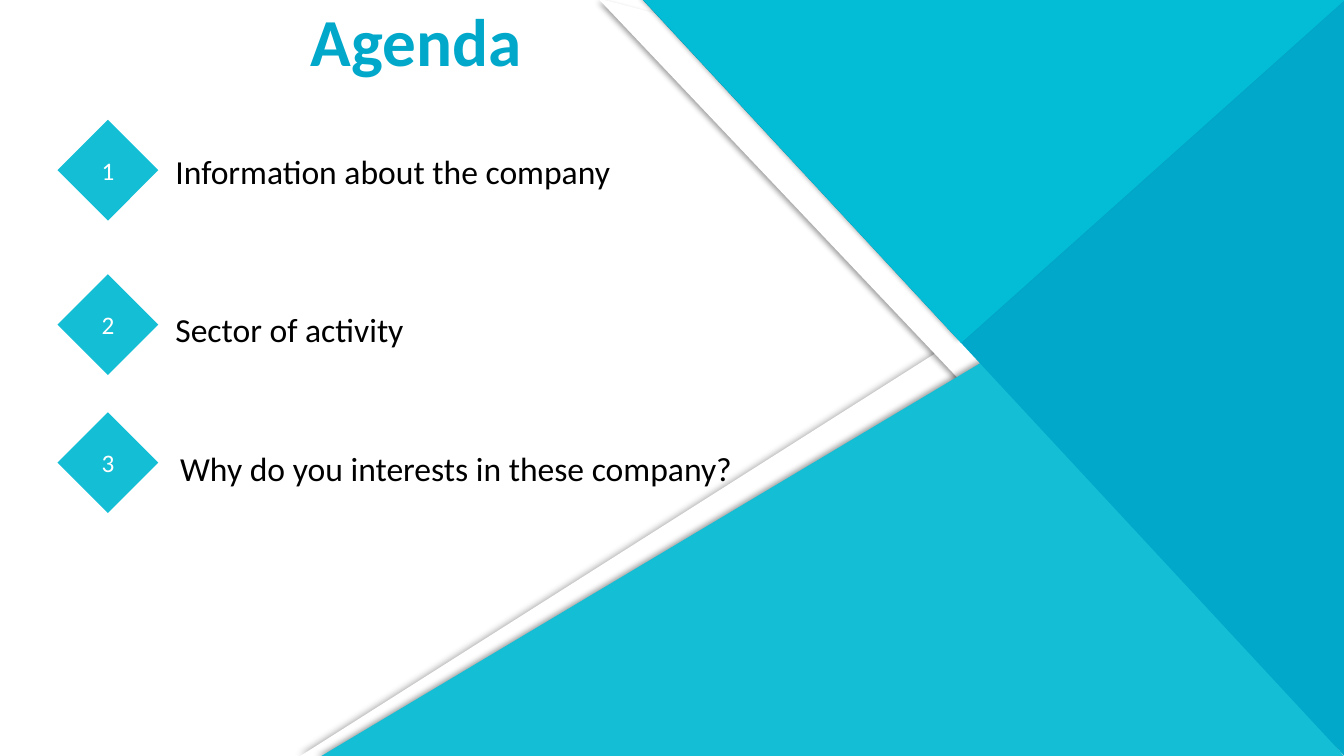
from dataclasses import dataclass
from typing import Optional

from lxml.etree import SubElement
from pptx import Presentation
from pptx.dml.color import RGBColor
from pptx.enum.shapes import MSO_SHAPE as Shape
from pptx.enum.text import MSO_ANCHOR, MSO_AUTO_SIZE, PP_ALIGN
from pptx.oxml.ns import qn
from pptx.util import Cm, Pt

FONT = "Calibri"
WHITE, BLACK = "FFFFFF", "000000"
TURQUOISE, CYAN, BLUE = "14BED5", "03BDD6", "02A8CA"
DIAMOND_LEFT, DIAMOND_SIZE = 1.45, 2.54


@dataclass
class Shadow:
    """Blur and distance in points, direction in degrees."""
    blur: float
    distance: float
    direction: float


@dataclass
class Panel:
    """Background triangle, with its box in centimetres."""
    kind: Shape
    box: tuple[float, float, float, float]
    fill: str
    rotation: float = 0
    apex: Optional[float] = None
    flips: tuple[str, ...] = ()
    shadow: Optional[Shadow] = None


@dataclass
class AgendaItem:
    text: str
    diamond_top: float
    text_left: float
    text_top: float


PANELS = [
    Panel(Shape.ISOSCELES_TRIANGLE, (7.57, 7.75, 26.29, 11.3), WHITE,
          apex=0.678, shadow=Shadow(5, 0, 0)),
    Panel(Shape.RIGHT_TRIANGLE, (13.69, 1.65, 14.58, 9.09), WHITE,
          rotation=14.6, flips=("flipH", "flipV"), shadow=Shadow(4, 3, 90)),
    Panel(Shape.ISOSCELES_TRIANGLE, (8.1, 8.64, 25.76, 10.41), TURQUOISE,
          apex=0.678, shadow=Shadow(4, 3, 180)),
    Panel(Shape.RIGHT_TRIANGLE, (15.52, 0.69, 19.05, 17.68), BLUE,
          rotation=270, flips=("flipH",)),
    Panel(Shape.ISOSCELES_TRIANGLE, (16.21, 0, 17.68, 8.64), CYAN,
          rotation=180, apex=0.547, shadow=Shadow(4, 3, 225)),
]

AGENDA = [
    AgendaItem("Information about the company", 3.02, 4.17, 3.68),
    AgendaItem("Sector of activity", 6.91, 4.17, 7.65),
    AgendaItem("Why do you interests in these company?", 10.39, 4.29, 11.15),
]


def color(value: str) -> RGBColor:
    return RGBColor.from_string(value)


def add_filled_shape(shapes, kind: Shape, box: tuple, fill: str):
    shape = shapes.add_shape(kind, *map(Cm, box))
    shape.shadow.inherit = False
    shape.fill.solid()
    shape.fill.fore_color.rgb = color(fill)
    shape.line.fill.background()
    return shape


def add_shadow(shape, shadow: Shadow) -> None:
    effects = shape._element.spPr.find(qn("a:effectLst"))
    outer = SubElement(effects, qn("a:outerShdw"), {
        "blurRad": str(Pt(shadow.blur)),
        "dist": str(Pt(shadow.distance)),
        "dir": str(shadow.direction * 60000),
        "rotWithShape": "0",
    })
    tint = SubElement(outer, qn("a:srgbClr"), val=BLACK)
    SubElement(tint, qn("a:alpha"), val="40000")


def add_panel(shapes, panel: Panel) -> None:
    shape = add_filled_shape(shapes, panel.kind, panel.box, panel.fill)
    shape.rotation = panel.rotation
    if panel.apex is not None:
        shape.adjustments[0] = panel.apex
    for flip in panel.flips:
        shape._element.spPr.find(qn("a:xfrm")).set(flip, "1")
    if panel.shadow:
        add_shadow(shape, panel.shadow)


def write(shape, text: str, size: float, ink: str, bold: bool = False,
          align: PP_ALIGN = PP_ALIGN.LEFT, anchor: MSO_ANCHOR = MSO_ANCHOR.TOP) -> None:
    frame = shape.text_frame
    frame.text = text
    frame.word_wrap = True
    frame.vertical_anchor = anchor
    paragraph = frame.paragraphs[0]
    paragraph.alignment = align
    font = paragraph.runs[0].font
    font.name, font.size, font.bold = FONT, Pt(size), bold
    font.color.rgb = color(ink)


def add_agenda_item(shapes, number: int, item: AgendaItem) -> None:
    group = shapes.add_group_shape()
    box = (DIAMOND_LEFT, item.diamond_top, DIAMOND_SIZE, DIAMOND_SIZE)
    diamond = add_filled_shape(group.shapes, Shape.FLOWCHART_DECISION, box, TURQUOISE)
    write(diamond, str(number), 18, WHITE, align=PP_ALIGN.CENTER, anchor=MSO_ANCHOR.MIDDLE)
    label = group.shapes.add_textbox(Cm(item.text_left), Cm(item.text_top), Cm(14.86), Cm(1.27))
    write(label, item.text, 24, BLACK)
    label.text_frame.auto_size = MSO_AUTO_SIZE.SHAPE_TO_FIT_TEXT


def place_title(slide) -> None:
    """Format the title and bring it in front of the panels."""
    title = slide.shapes.title
    title.left, title.top, title.width, title.height = map(Cm, (7.57, -0.15, 5.99, 2.31))
    write(title, "Agenda", 48, BLUE, bold=True)
    title.text_frame.auto_size = MSO_AUTO_SIZE.SHAPE_TO_FIT_TEXT
    slide.shapes._spTree.append(title._element)


def main() -> None:
    presentation = Presentation()
    presentation.slide_width, presentation.slide_height = Cm(33.87), Cm(19.05)
    slide = presentation.slides.add_slide(presentation.slide_layouts[5])
    for panel in PANELS:
        add_panel(slide.shapes, panel)
    place_title(slide)
    for number, item in enumerate(AGENDA, start=1):
        add_agenda_item(slide.shapes, number, item)
    presentation.save("out.pptx")


if __name__ == "__main__":
    main()
